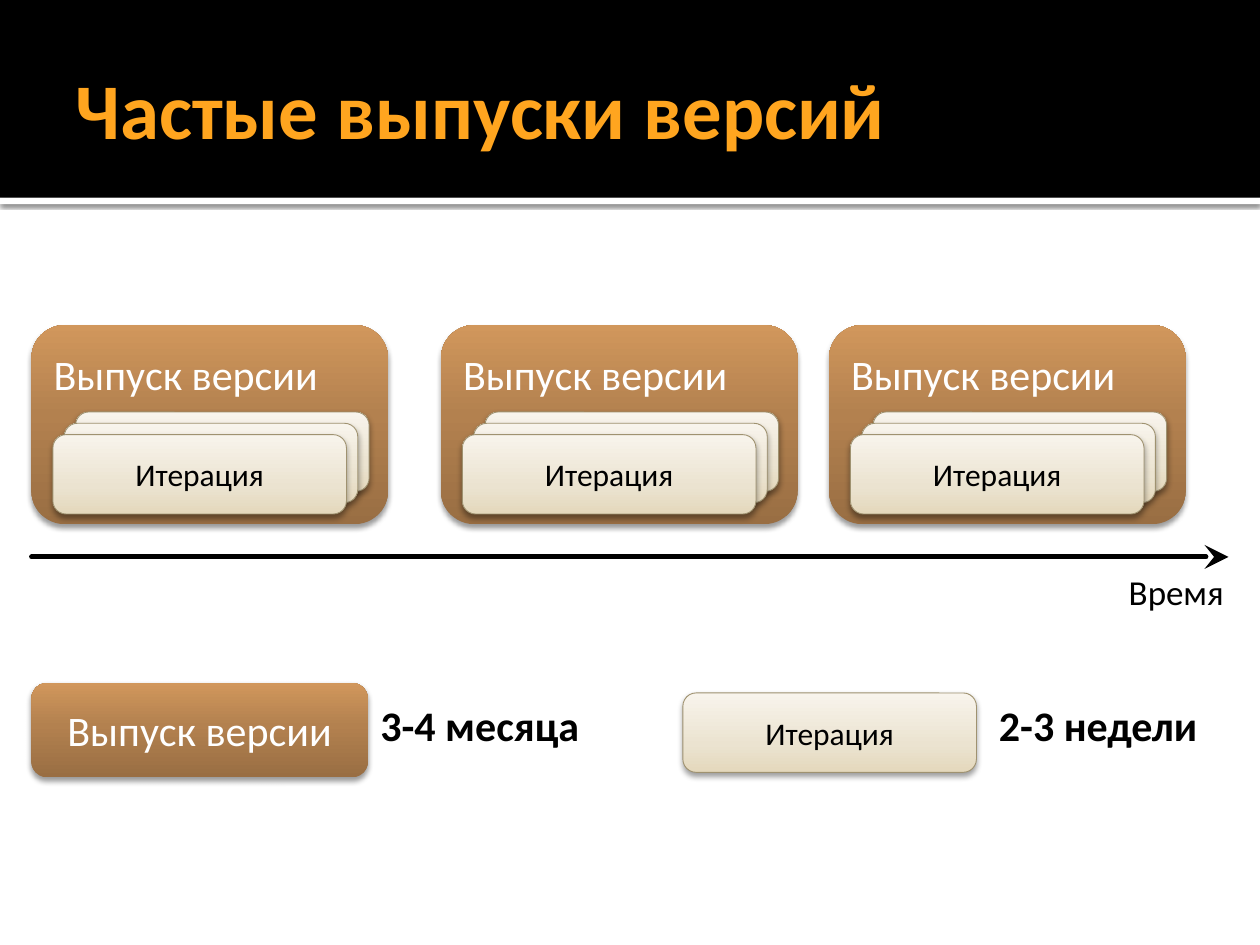
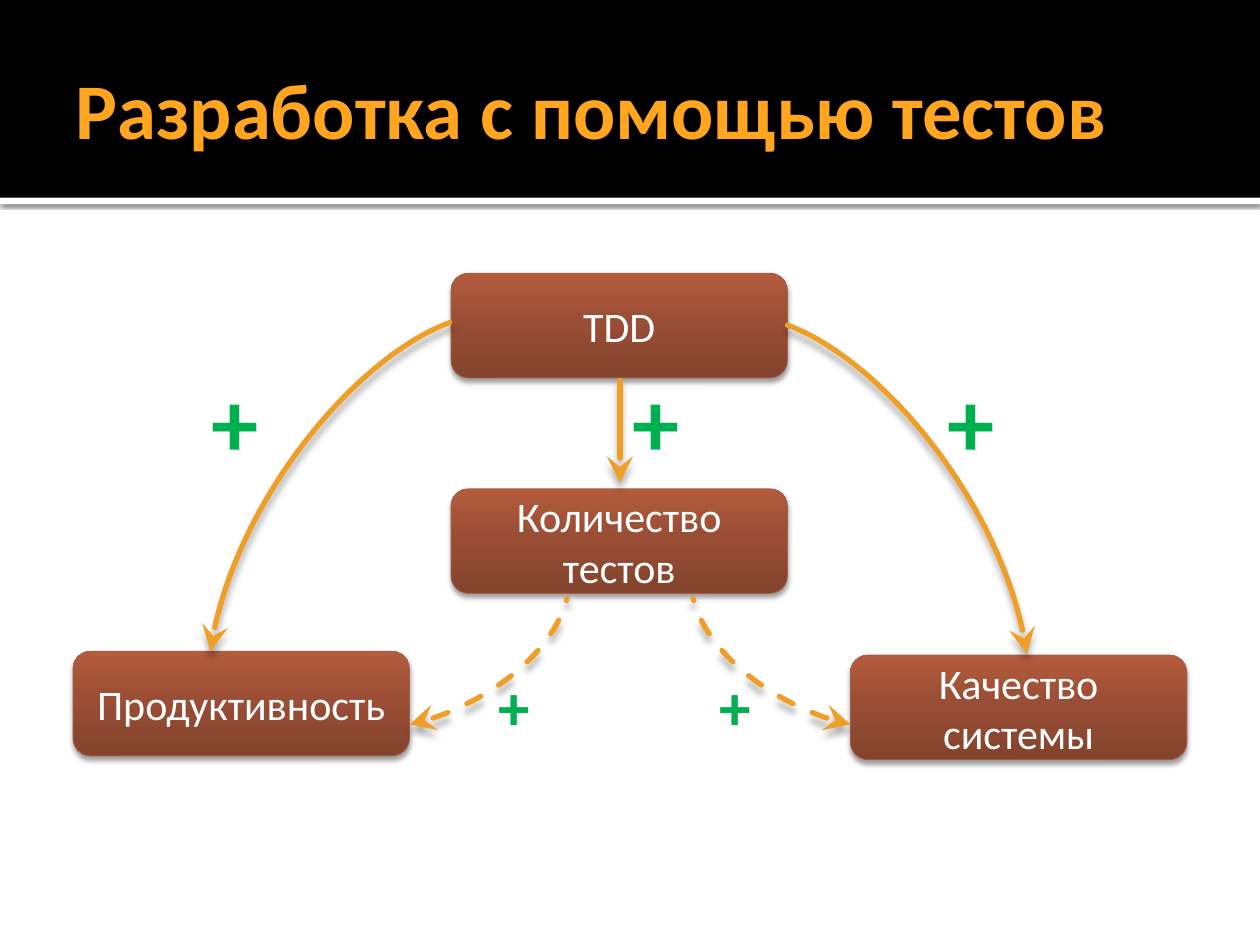
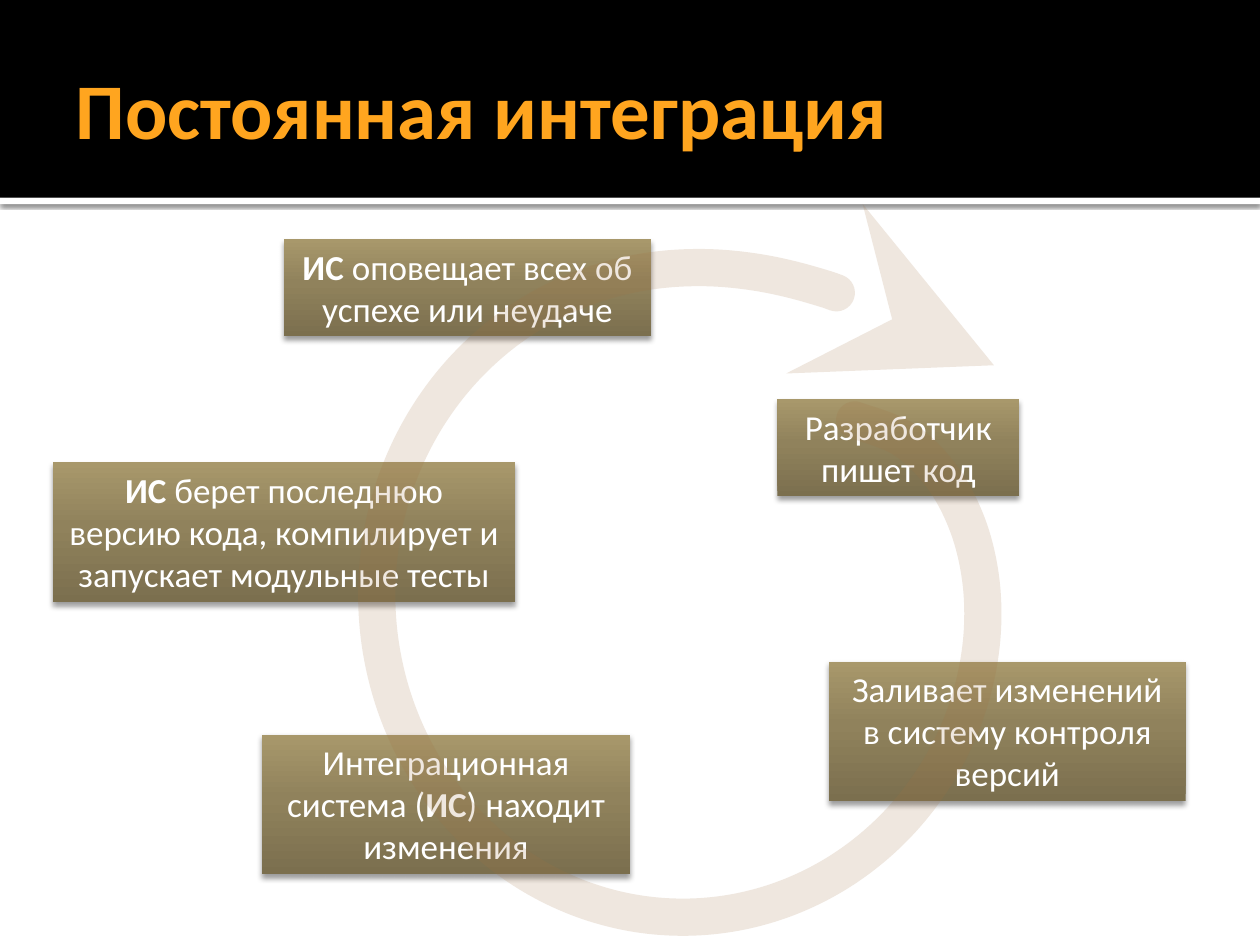
from copy import deepcopy
from math import cos, radians, sin
from typing import NamedTuple

from lxml.etree import SubElement
from pptx import Presentation
from pptx.dml.color import RGBColor
from pptx.enum.dml import MSO_LINE
from pptx.enum.shapes import MSO_CONNECTOR, MSO_SHAPE as Preset
from pptx.enum.text import MSO_ANCHOR as Anchor, PP_ALIGN as Align
from pptx.oxml.ns import qn
from pptx.util import Inches, Pt

FONT = "Calibri"
WHITE = RGBColor(0xFF, 0xFF, 0xFF)
BLACK = RGBColor(0x00, 0x00, 0x00)
GOLD = RGBColor(0xFF, 0xA5, 0x1F)
AMBER = RGBColor(0xEF, 0x9F, 0x28)
GREEN = RGBColor(0x00, 0xB0, 0x50)
TAN = RGBColor(0xA2, 0x72, 0x42)

Point = tuple[float, float]


class Shade(NamedTuple):
    alpha: int
    blur: float
    dist: float


class Look(NamedTuple):
    """Gradient from bottom to top, with the place of its middle stop."""
    low: RGBColor
    mid: RGBColor
    high: RGBColor
    stop: float
    shade: Shade
    edge: RGBColor | None = None
    ink: RGBColor = WHITE
    size: int = 24


class Box(NamedTuple):
    text: str
    left: float
    top: float
    width: float
    height: float


class Label(NamedTuple):
    text: str
    left: float
    top: float
    width: float
    height: float
    size: int
    color: RGBColor
    bold: bool = True


class Arc(NamedTuple):
    """One cubic curve: its ends and the two points that pull it."""
    start: Point
    pull: Point
    draw: Point
    stop: Point


class Spiral(NamedTuple):
    """An ellipse whose radius starts short by dip and ends long by rise."""
    center: Point
    radii: Point
    start: float
    sweep: float
    dip: float
    rise: float
    power: int
    steps: int


SOFT = Shade(38, 3.1, 2)
RULE = Shade(60, 2.5, 0.8)
WIRE = Shade(31, 4, 4)
WOOD = Look(RGBColor(0x99, 0x6E, 0x43), RGBColor(0xB3, 0x81, 0x4F),
            RGBColor(0xD1, 0x97, 0x5C), 0.55, SOFT)
CREAM = Look(RGBColor(0xE4, 0xD8, 0xBC), RGBColor(0xEB, 0xE3, 0xD0),
             RGBColor(0xF8, 0xF4, 0xEC), 0.35, Shade(38, 3.5, 2),
             RGBColor(0x9F, 0x92, 0x70), BLACK, 18)
BRICK = Look(RGBColor(0x83, 0x43, 0x2D), RGBColor(0x9A, 0x4E, 0x35),
             RGBColor(0xB4, 0x5B, 0x3D), 0.55, SOFT,
             RGBColor(0xA3, 0x61, 0x4A))
OLIVE = Look(RGBColor(0x7B, 0x6F, 0x4E), RGBColor(0x90, 0x82, 0x5C),
             RGBColor(0xA8, 0x98, 0x6B), 0.55, SOFT, size=20)

RELEASE = "Выпуск версии"
SPRINT = "Итерация"
SPRINT_SIZE = (2.33, 0.63)
CARD_TOP = 2.58
CARD_SIZE = (2.83, 1.58)
CARD_LEFTS = [0.25, 3.5, 6.58]
FRONT = (0.17, 0.87)  # front sprint, from the corner of its card
SHIFT = 0.09          # from each sprint to the one behind it
TIMES = [
    Label("Время", 8.86, 4.48, 0.98, 0.44, 20, BLACK, False),
    Label("3-4 месяца", 2.92, 5.5, 1.79, 0.5, 24, BLACK),
    Label("2-3 недели", 7.83, 5.5, 1.79, 0.5, 24, BLACK),
]

NODE_SIZE = (2.67, 0.83)
NODES = [
    ("TDD", 3.58, 2.17),
    ("Количество тестов", 3.58, 3.88),
    ("Продуктивность", 0.58, 5.17),
    ("Качество системы", 6.75, 5.2),
]
BIG_PLUS = [1.58, 7.42, 4.92]
SMALL_PLUS = [5.61, 3.86]
DIRECT = Arc((3.57, 2.56), (2.86, 2.82), (1.84, 4.0), (1.67, 5.17))
BY_TESTS = Arc((3.25, 5.75), (3.73, 5.66), (4.38, 5.2), (4.5, 4.75))

STEPS = [
    Box("Разработчик пишет код", 6.17, 3.17, 1.92, 0.77),
    Box("Заливает изменений в систему контроля версий",
        6.58, 5.25, 2.83, 1.11),
    Box("Интеграционная система (*ИС*) находит изменения",
        2.08, 5.83, 2.92, 1.11),
    Box("*ИС* берет последнюю версию кода, компилирует и запускает "
        "модульные тесты", 0.42, 3.67, 3.67, 1.11),
    Box("*ИС *оповещает всех об успехе или неудаче", 2.25, 1.9, 2.92, 0.77),
]
CYCLE = Spiral(center=(5.42, 4.72), radii=(2.43, 2.56), start=-44, sweep=369,
               dip=0.22, rise=0.24, power=18, steps=36)


def write(frame, text: str, *, size: int, color: RGBColor, bold=False,
          align=Align.LEFT, anchor=Anchor.TOP, wrap=True,
          inset=(0.1, 0.05, 0.1, 0.05)) -> None:
    """Fill a frame; text between asterisks is bold."""
    frame.word_wrap = wrap
    frame.vertical_anchor = anchor
    (frame.margin_left, frame.margin_top,
     frame.margin_right, frame.margin_bottom) = map(Inches, inset)
    para = frame.paragraphs[0]
    para.alignment = align
    for num, part in enumerate(text.split("*")):
        if part:
            run = para.add_run()
            run.text = part
            run.font.name = FONT
            run.font.size = Pt(size)
            run.font.bold = bold or num % 2 == 1
            run.font.color.rgb = color


def cast(shape, shade: Shade | None = None) -> None:
    """Give a shape this shadow, or none."""
    effects = shape.element.spPr.get_or_add_effectLst()
    if shade:
        outer = SubElement(effects, qn("a:outerShdw"), dir="5400000",
                           blurRad=str(Pt(shade.blur)),
                           dist=str(Pt(shade.dist)), rotWithShape="0")
        color = SubElement(outer, qn("a:srgbClr"), val=str(BLACK))
        SubElement(color, qn("a:alpha"), val=str(shade.alpha * 1000))


def add_box(slide, look: Look, box: Box, *, kind=Preset.ROUNDED_RECTANGLE,
            **fmt) -> None:
    shape = slide.shapes.add_shape(kind, *map(Inches, box[1:]))
    fill = shape.fill
    fill.gradient()
    fill.gradient_angle = 90
    stops = shape.element.spPr.find(".//" + qn("a:gsLst"))
    stops.append(deepcopy(stops[0]))
    tones = zip((0, look.stop, 1), (look.low, look.mid, look.high))
    for stop, (place, tone) in zip(fill.gradient_stops, tones):
        stop.position = place
        stop.color.rgb = tone
    if look.edge:
        shape.line.color.rgb = look.edge
        shape.line.width = Pt(0.5)
    else:
        shape.line.fill.background()
    cast(shape, look.shade)
    if box.text:
        style = dict(size=look.size, color=look.ink, align=Align.CENTER,
                     anchor=Anchor.MIDDLE)
        write(shape.text_frame, box.text, **(style | fmt))


def add_label(slide, label: Label) -> None:
    area = slide.shapes.add_textbox(*map(Inches, label[1:5]))
    write(area.text_frame, label.text, size=label.size, color=label.color,
          bold=label.bold, wrap=False)


def ink_line(shape, color: RGBColor, width: float, *, end="tailEnd",
             dash=False, alpha: int | None = None,
             shade: Shade | None = None) -> None:
    """Format a line that has a large arrowhead at one end."""
    shape.line.color.rgb = color
    shape.line.width = Pt(width)
    if dash:
        shape.line.dash_style = MSO_LINE.DASH
    ln = shape.element.spPr.find(qn("a:ln"))
    ln.set("cap", "rnd")
    if alpha:
        tone = ln.find(".//" + qn("a:srgbClr"))
        SubElement(tone, qn("a:alpha"), val=str(alpha * 1000))
    SubElement(ln, qn("a:round"))
    SubElement(ln, qn("a:" + end), type="stealth", w="lg", len="lg")
    cast(shape, shade)


def add_line(slide, start: Point, stop: Point, color: RGBColor,
             width: float, **fmt) -> None:
    line = slide.shapes.add_connector(
        MSO_CONNECTOR.STRAIGHT, *map(Inches, start + stop))
    ink_line(line, color, width, **fmt)


def add_curve(slide, arcs: list[Arc], color: RGBColor, width: float,
              **fmt) -> None:
    """Draw arcs that follow each other as one outline."""
    def spot(point: Point) -> tuple[int, int]:
        return Inches(point[0]), Inches(point[1])

    maker = slide.shapes.build_freeform(*spot(arcs[0].start))
    for arc in arcs:
        maker.add_line_segments(map(spot, arc[1:]), close=False)
    shape = maker.convert_to_shape()
    track = shape.element.spPr.find(".//" + qn("a:path"))
    legs = track.findall(qn("a:lnTo"))
    for num in range(0, len(legs), 3):
        bend = SubElement(track, qn("a:cubicBezTo"))
        for leg in legs[num:num + 3]:
            bend.append(leg[0])
            track.remove(leg)
    shape.fill.background()
    ink_line(shape, color, width, **fmt)


def flip(arc: Arc, axis: float, drop: float = 0) -> Arc:
    """Mirror an arc about an upright axis, then lower it."""
    return Arc(*((2 * axis - x, y + drop) for x, y in arc))


def trace(spiral: Spiral) -> list[Point]:
    """Points at equal turns along a spiral."""
    points = []
    for step in range(spiral.steps + 1):
        part = step / spiral.steps
        turn = radians(spiral.start + spiral.sweep * part)
        scale = (1 - spiral.dip * (1 - part) ** spiral.power
                 + spiral.rise * part ** spiral.power)
        points.append((spiral.center[0] + spiral.radii[0] * scale * cos(turn),
                       spiral.center[1] + spiral.radii[1] * scale * sin(turn)))
    return points


def smooth(knots: list[Point]) -> list[Arc]:
    """Join knots by arcs; each tangent is parallel to its neighbours."""
    def move(point: Point, tail: Point, head: Point) -> Point:
        return (point[0] + (head[0] - tail[0]) / 6,
                point[1] + (head[1] - tail[1]) / 6)

    ring = [knots[0], *knots, knots[-1]]
    return [Arc(here, move(here, prior, then), move(then, after, here), then)
            for prior, here, then, after
            in zip(ring, ring[1:], ring[2:], ring[3:])]


def set_bands(slide) -> None:
    """Put the head band and its rule on the layout of the slide."""
    tree = slide.slide_layout.shapes.element
    bands = [(0, 1.57, BLACK, None), (1.57, 0.05, WHITE, RULE)]
    for top, height, color, shade in bands:
        band = slide.shapes.add_shape(
            Preset.RECTANGLE, 0, Inches(top), Inches(10), Inches(height))
        band.fill.solid()
        band.fill.fore_color.rgb = color
        band.line.fill.background()
        cast(band, shade)
        tree.insert(2, band.element)


def add_page(deck, text: str):
    slide = deck.slides.add_slide(deck.slide_layouts[5])
    title = slide.shapes.title
    title.left, title.top = Inches(0.5), Inches(0.17)
    title.width, title.height = Inches(9), Inches(1.37)
    write(title.text_frame, text, size=45, color=GOLD, bold=True,
          anchor=Anchor.MIDDLE, inset=(0.1, 0.05, 0.05, 0.05))
    return slide


def add_card(slide, left: float) -> None:
    """Draw a release with its stack of sprints, the back one first."""
    add_box(slide, WOOD, Box(RELEASE, left, CARD_TOP, *CARD_SIZE),
            align=Align.LEFT, anchor=Anchor.TOP,
            inset=(0.1, 0.11, 0.1, 0.05))
    for depth in (2, 1, 0):
        add_box(slide, CREAM, Box("" if depth else SPRINT,
                                  left + FRONT[0] + depth * SHIFT,
                                  CARD_TOP + FRONT[1] - depth * SHIFT,
                                  *SPRINT_SIZE))


def draw_releases(slide) -> None:
    for left in CARD_LEFTS:
        add_card(slide, left)
    add_line(slide, (0.25, 4.42), (9.75, 4.42), BLACK, 2.75)
    add_box(slide, WOOD, Box(RELEASE, 0.25, 5.42, 2.67, 0.75))
    add_box(slide, CREAM, Box(SPRINT, 5.42, 5.5, *SPRINT_SIZE))
    for label in TIMES:
        add_label(slide, label)


def draw_tests(slide) -> None:
    for node in NODES:
        add_box(slide, BRICK, Box(*node, *NODE_SIZE))
    for arc in (DIRECT, flip(DIRECT, 4.91, 0.02)):
        add_curve(slide, [arc], AMBER, 3, shade=WIRE)
    for arc in (flip(BY_TESTS, 5), BY_TESTS):
        add_curve(slide, [arc], AMBER, 3, end="headEnd", dash=True,
                  shade=WIRE)
    add_line(slide, (4.92, 3.02), (4.92, 3.83), AMBER, 3, shade=WIRE)
    for left in BIG_PLUS:
        add_label(slide, Label("+", left, 2.83, 0.6, 1.01, 54, GREEN))
    for left in SMALL_PLUS:
        add_label(slide, Label("+", left, 5.25, 0.47, 0.71, 36, GREEN))


def draw_cycle(slide) -> None:
    for step in STEPS:
        add_box(slide, OLIVE, step, kind=Preset.RECTANGLE, anchor=Anchor.TOP)
    add_curve(slide, smooth(trace(CYCLE)), TAN, 21.25, alpha=17)


def main() -> None:
    deck = Presentation()
    deck.slide_width, deck.slide_height = Inches(10), Inches(7.5)
    first = add_page(deck, "Частые выпуски версий")
    set_bands(first)
    draw_releases(first)
    draw_tests(add_page(deck, "Разработка с помощью тестов"))
    draw_cycle(add_page(deck, "Постоянная интеграция"))
    deck.save("out.pptx")


if __name__ == "__main__":
    main()
